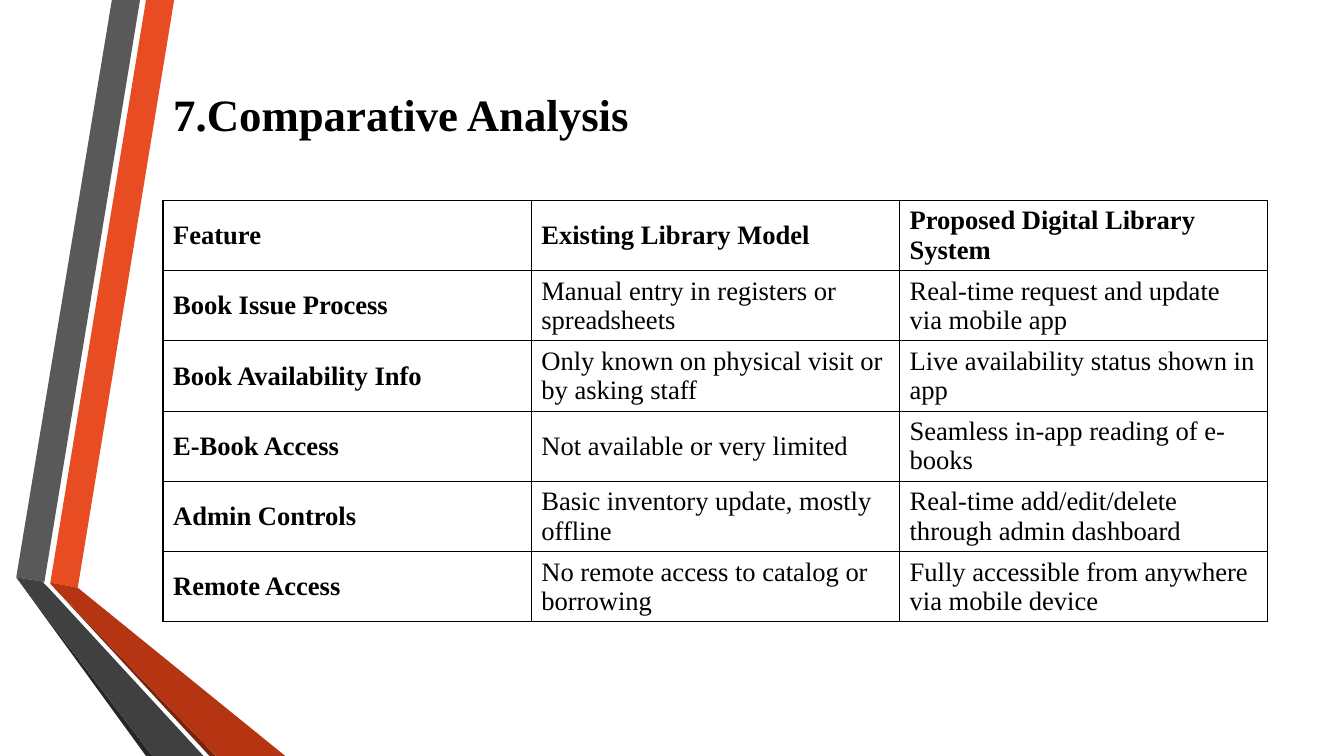
"""Build the comparative analysis slide of a digital library system."""
from lxml import etree
from pptx import Presentation
from pptx.dml.color import RGBColor
from pptx.enum.text import MSO_ANCHOR, PP_ALIGN
from pptx.oxml.ns import qn
from pptx.util import Cm, Pt

MIDDLE = MSO_ANCHOR.MIDDLE
LEFT = PP_ALIGN.LEFT
FONT = "Times New Roman"
BLACK = "000000"
TABLE_LEFT, TABLE_TOP, COLUMN_WIDTH, ROW_HEIGHT = 4.11, 5.05, 9.28, 1.77
BOTTOM = 19.05

RIBBONS = [
    ("E84C22", [(1.27, 14.68), (1.96, 14.81), (4.39, 0), (3.68, 0)]),
    ("595959", [(3.53, 0), (2.82, 0), (0.41, 14.55), (1.12, 14.66)]),
    ("262626", [(0.41, 14.55), (3.68, BOTTOM), (3.84, BOTTOM)]),
    ("78230D", [(1.27, 14.71), (5.28, BOTTOM), (5.44, BOTTOM)]),
    ("B53513", [(1.27, 14.71), (5.44, BOTTOM), (7.19, BOTTOM), (1.96, 14.81), (1.27, 14.68)]),
    ("404040", [(5.13, BOTTOM), (1.22, 14.81), (1.09, 14.68), (1.12, 14.66),
                (0.41, 14.55), (3.84, BOTTOM)]),
]

COMPARISON = [
    ("Feature", "Existing Library Model", "Proposed Digital Library System"),
    ("Book Issue Process", "Manual entry in registers or spreadsheets",
     "Real-time request and update via mobile app"),
    ("Book Availability Info", "Only known on physical visit or by asking staff",
     "Live availability status shown in app"),
    ("E-Book Access", "Not available or very limited",
     "Seamless in-app reading of e-books"),
    ("Admin Controls", "Basic inventory update, mostly offline",
     "Real-time add/edit/delete through admin dashboard"),
    ("Remote Access", "No remote access to catalog or borrowing",
     "Fully accessible from anywhere via mobile device"),
]


def color(value):
    return RGBColor.from_string(value)


def write(frame, text, size, bold):
    paragraph = frame.paragraphs[0]
    paragraph.alignment = LEFT
    run = paragraph.add_run()
    run.text = text
    run.font.name = FONT
    run.font.size = Pt(size)
    run.font.bold = bold
    run.font.color.rgb = color(BLACK)


prs = Presentation()
prs.slide_width, prs.slide_height = Cm(33.87), Cm(BOTTOM)
slide = prs.slides.add_slide(prs.slide_layouts[5])

for fill, corners in RIBBONS:
    points = [(Cm(x), Cm(y)) for x, y in corners]
    builder = slide.shapes.build_freeform(*points[0])
    builder.add_line_segments(points[1:], close=True)
    ribbon = builder.convert_to_shape()
    ribbon.shadow.inherit = False
    ribbon.fill.solid()
    ribbon.fill.fore_color.rgb = color(fill)
    ribbon.line.fill.background()

heading = slide.shapes.title
heading.left, heading.top = Cm(TABLE_LEFT), Cm(1.91)
heading.width, heading.height = Cm(3 * COLUMN_WIDTH), Cm(1.88)
heading.text_frame.vertical_anchor = MIDDLE
write(heading.text_frame, "7.Comparative Analysis", 32, True)

comparison = slide.shapes.add_table(
    len(COMPARISON), 3, Cm(TABLE_LEFT), Cm(TABLE_TOP),
    Cm(3 * COLUMN_WIDTH), Cm(len(COMPARISON) * ROW_HEIGHT)).table
comparison.first_row = False
comparison.horz_banding = False
for column in comparison.columns:
    column.width = Cm(COLUMN_WIDTH)

for row, entries in enumerate(COMPARISON):
    comparison.rows[row].height = Cm(ROW_HEIGHT)
    for column, entry in enumerate(entries):
        cell = comparison.cell(row, column)
        cell.vertical_anchor = MIDDLE
        cell.fill.background()
        write(cell.text_frame, entry, 19, row == 0 or column == 0)
        properties = cell._tc.get_or_add_tcPr()
        for position, side in enumerate(("a:lnL", "a:lnR", "a:lnT", "a:lnB")):
            border = etree.Element(qn(side), w=str(Pt(1)))
            border_fill = etree.SubElement(border, qn("a:solidFill"))
            etree.SubElement(border_fill, qn("a:srgbClr"), val=BLACK)
            properties.insert(position, border)

prs.save("out.pptx")
